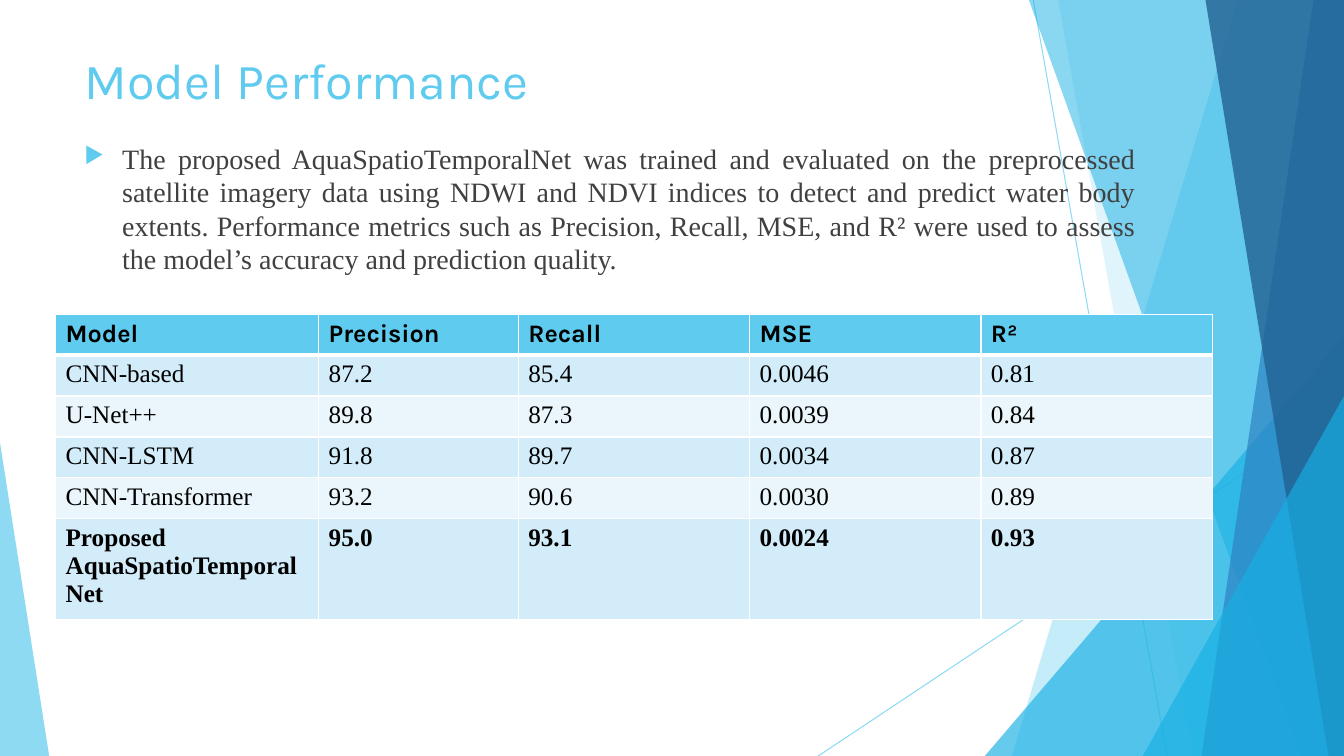
from lxml import etree
from pptx import Presentation
from pptx.dml.color import RGBColor
from pptx.enum.shapes import MSO_CONNECTOR, MSO_SHAPE
from pptx.enum.text import MSO_ANCHOR, PP_ALIGN
from pptx.oxml import parse_xml
from pptx.oxml.ns import nsdecls, qn
from pptx.util import Cm, Pt

WIDTH, HEIGHT = 33.87, 19.05
SKY, CYAN, BLUE, NAVY = "5FCBEF", "17B0E4", "2E83C3", "226292"
SERIF, SANS = "Times New Roman", "Karla"


def paint(color_format, color, alpha=100):
    color_format.rgb = RGBColor.from_string(color)
    if alpha < 100:
        node = color_format._xFill.find(qn("a:srgbClr"))
        etree.SubElement(node, qn("a:alpha")).set("val", str(alpha * 1000))


def style_font(font, color, **values):
    for name, value in values.items():
        setattr(font, name, value)
    paint(font.color, color)


presentation = Presentation()
presentation.slide_width, presentation.slide_height = Cm(WIDTH), Cm(HEIGHT)
slide = presentation.slides.add_slide(presentation.slide_layouts[5])
shapes = slide.shapes

# Thin diagonal lines
for x1, y1, x2 in [(26.04, 0, 29.41), (WIDTH, 10.24, 20.62)]:
    line = shapes.add_connector(
        MSO_CONNECTOR.STRAIGHT, Cm(x1), Cm(y1), Cm(x2), Cm(HEIGHT))
    line.line.width = Pt(0.75)
    line.line.fill.solid()
    paint(line.line.fill.fore_color, SKY, 70)
    etree.SubElement(line._element.spPr, qn("a:effectLst"))

# Facets, back to front: bands reach the right edge, triangles stand on the bottom
facets = [
    ("band", (31.19, 25.5), SKY, 36),
    ("band", (26.67, 30.05), SKY, 20),
    ("triangle", (24.82, 8.46, 9.05, 1), CYAN, 66),
    ("band", (25.93, 32.79), CYAN, 50),
    ("band", (33.1, 30.28), BLUE, 70),
    ("band", (30.38, 33.48), NAVY, 80),
    ("triangle", (28.8, 9.98, 5.07, 1), CYAN, 66),
    ("triangle", (0, 11.15, 1.24, 0), SKY, 70),
]
for kind, geometry, color, alpha in facets:
    if kind == "band":
        top_x, bottom_x = geometry
        builder = shapes.build_freeform(Cm(top_x), 0)
        corners = [(WIDTH, 0), (WIDTH, HEIGHT), (bottom_x, HEIGHT)]
        builder.add_line_segments([(Cm(x), Cm(y)) for x, y in corners])
        facet = builder.convert_to_shape()
    else:
        left, top, width, apex = geometry
        facet = shapes.add_shape(MSO_SHAPE.ISOSCELES_TRIANGLE, Cm(left), Cm(top),
                                 Cm(width), Cm(HEIGHT - top))
        facet.adjustments[0] = apex
    facet.shadow.inherit = False
    facet.line.fill.background()
    facet.fill.solid()
    paint(facet.fill.fore_color, color, alpha)

# Title
title = shapes.title
title.left, title.top, title.width, title.height = Cm(1.88), Cm(1.12), Cm(23.88), Cm(2.31)
title.text_frame.text = "Model Performance"
title.text_frame.vertical_anchor = MSO_ANCHOR.TOP
paragraph = title.text_frame.paragraphs[0]
paragraph.alignment = PP_ALIGN.LEFT
style_font(paragraph.runs[0].font, SKY, name=SANS, size=Pt(36))

# Summary bullet
summary = shapes.add_textbox(Cm(1.88), Cm(3.43), Cm(27), Cm(4.29))
summary.text_frame.word_wrap = True
paragraph = summary.text_frame.paragraphs[0]
paragraph.text = (
    "The proposed AquaSpatioTemporalNet was trained and evaluated on the preprocessed "
    "satellite imagery data using NDWI and NDVI indices to detect and predict water body "
    "extents. Performance metrics such as Precision, Recall, MSE, and R² were used to "
    "assess the model’s accuracy and prediction quality.")
paragraph.alignment = PP_ALIGN.JUSTIFY
paragraph.space_before = Pt(10)
style_font(paragraph.runs[0].font, "404040", name=SERIF, size=Pt(20))
properties = paragraph._p.get_or_add_pPr()
properties.set("marL", str(Cm(0.95)))
properties.set("indent", str(-Cm(0.95)))
for bullet in [f'<a:buClr {nsdecls("a")}><a:srgbClr val="{SKY}"/></a:buClr>',
               f'<a:buSzPct {nsdecls("a")} val="80000"/>',
               f'<a:buChar {nsdecls("a")} char="▶"/>']:
    properties.append(parse_xml(bullet))

# Results table
results = [
    ("Model", "Precision", "Recall", "MSE", "R²"),
    ("CNN-based", "87.2", "85.4", "0.0046", "0.81"),
    ("U-Net++", "89.8", "87.3", "0.0039", "0.84"),
    ("CNN-LSTM", "91.8", "89.7", "0.0034", "0.87"),
    ("CNN-Transformer", "93.2", "90.6", "0.0030", "0.89"),
    ("Proposed AquaSpatioTemporalNet", "95.0", "93.1", "0.0024", "0.93"),
]
column_widths = [6.63, 5.03, 5.83, 5.83, 5.83]
last = len(results) - 1
table = shapes.add_table(len(results), len(column_widths), Cm(1.4), Cm(7.92),
                         Cm(sum(column_widths)), Cm(6.1)).table
for column, width in zip(table.columns, column_widths):
    column.width = Cm(width)
for i, values in enumerate(results):
    table.rows[i].height = Cm(0.94 if i == last else 1.03)
    row_fill = SKY if i == 0 else ("D2ECF9" if i % 2 else "EAF6FC")
    for j, value in enumerate(values):
        cell = table.cell(i, j)
        cell.text = value
        style_font(cell.text_frame.paragraphs[0].runs[0].font, "000000", size=Pt(18),
                   name=SANS if i == 0 else SERIF, bold=i in (0, last))
        borders = {"lnL": 1, "lnR": 1, "lnT": 3 if i == 1 else 1, "lnB": 3 if i == 0 else 1}
        for side, points in borders.items():
            cell._tc.get_or_add_tcPr().append(parse_xml(
                f'<a:{side} {nsdecls("a")} w="{Pt(points)}"><a:solidFill>'
                f'<a:srgbClr val="FFFFFF"/></a:solidFill></a:{side}>'))
        cell.fill.solid()
        paint(cell.fill.fore_color, row_fill)

presentation.save("out.pptx")
